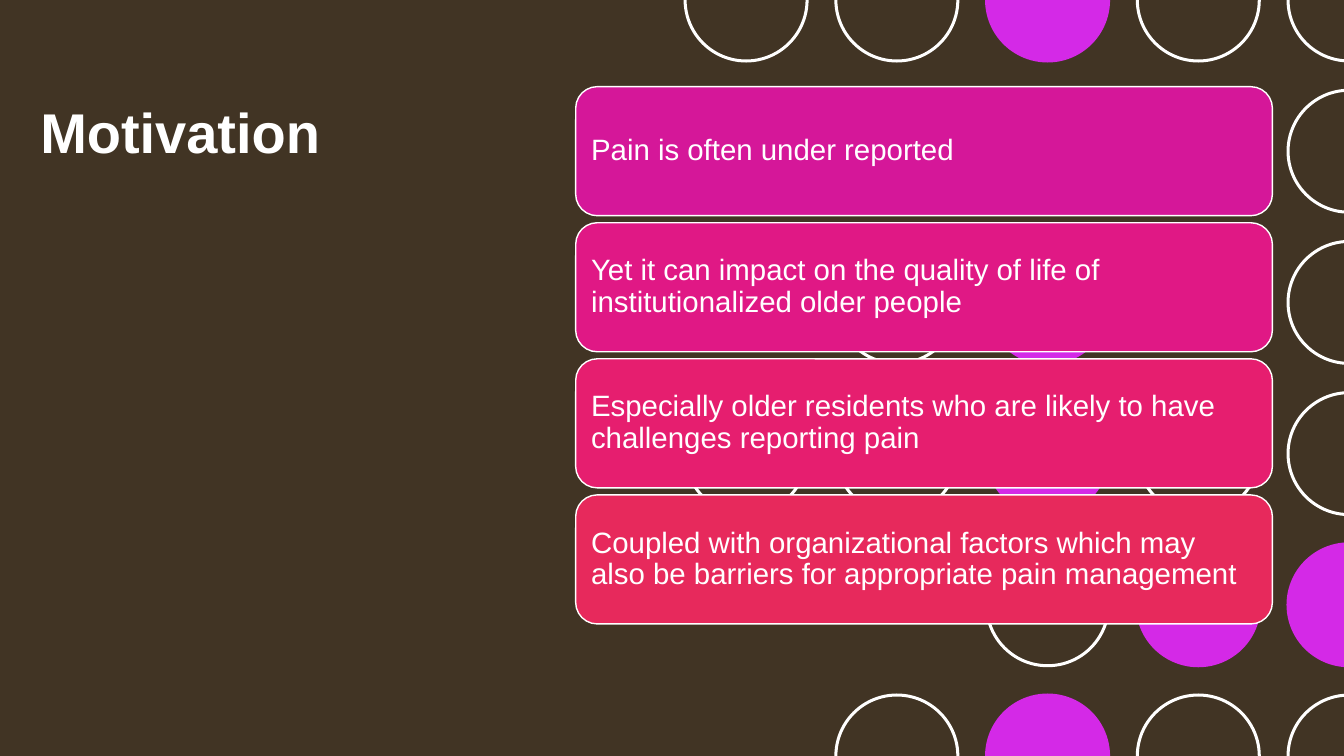
import math

from lxml import etree
from pptx import Presentation
from pptx.dml.color import RGBColor
from pptx.enum.shapes import MSO_SHAPE
from pptx.enum.text import MSO_ANCHOR, MSO_AUTO_SIZE, PP_ALIGN
from pptx.oxml.ns import qn
from pptx.util import Inches, Pt

OVAL, ROUNDED = MSO_SHAPE.OVAL, MSO_SHAPE.ROUNDED_RECTANGLE
BOTTOM, MIDDLE = MSO_ANCHOR.BOTTOM, MSO_ANCHOR.MIDDLE
LEFT, NO_FIT = PP_ALIGN.LEFT, MSO_AUTO_SIZE.NONE

TITLE = "Motivation"
CARDS = [
    ("Pain is often under reported", "D51799"),
    ("Yet it can impact on the quality of life of institutionalized older people", "E01885"),
    ("Especially older residents who are likely to have challenges reporting pain", "E61E6F"),
    ("Coupled with organizational factors which may also be barriers for "
     "appropriate pain management", "E7295C"),
]
# Circle grid: "#" is a solid disc, "O" a ring, "." empty
GRID = ["OO#OO", "....O", ".O#.O", "OO#OO", "..O##", ".O#OO"]

BROWN, PINK, WHITE = "413424", "D429E7", "FFFFFF"
SLIDE_W, SLIDE_H = 13.33, 7.5
GRID_X, PITCH_X, PITCH_Y = 7.4, 1.495, 1.5
RADIUS, RING = 0.62, 0.03
CARD_X, CARD_Y, CARD_W, CARD_H, CARD_PITCH = 5.71, 0.86, 6.91, 1.28, 1.35


def rgb(value):
    return RGBColor.from_string(value)


def set_format(obj, values):
    for name, value in values.items():
        setattr(obj, name, value)


def paint(sp, fill=None, line=None, width=1):
    sp.shadow.inherit = False
    if fill:
        sp.fill.solid()
        sp.fill.fore_color.rgb = rgb(fill)
    else:
        sp.fill.background()
    if line:
        sp.line.color.rgb = rgb(line)
        sp.line.width = Pt(width)
    else:
        sp.line.fill.background()


def write(sp, text, font, frame):
    tf = sp.text_frame
    set_format(tf, {"word_wrap": True, "auto_size": NO_FIT, **frame})
    p = tf.paragraphs[0]
    set_format(p, {"alignment": LEFT, "line_spacing": 0.9})
    r = p.add_run()
    r.text = text
    set_format(r.font, {"name": "Arial", **font})
    r.font.color.rgb = rgb(WHITE)


def visible_angles(cx, cy, radius):
    """Start and end, in degrees clockwise from the right, of the arc on the slide."""
    start, end = 0, 360
    if cy - radius < 0:
        end = 180
    if cy + radius > SLIDE_H:
        start = 180
    if cx + radius > SLIDE_W:
        edge = math.degrees(math.acos((SLIDE_W - cx) / radius))
        start, end = max(start, edge), min(end, 360 - edge)
    return start, end


def add_arc(shapes, cx, cy, radius, start, end, close):
    """Outline through the arc's extreme points, then bent into one true arc."""
    angles = [start, *(a for a in (90, 180, 270) if start < a < end), end]
    points = [(Inches(cx + radius * math.cos(math.radians(a))),
               Inches(cy + radius * math.sin(math.radians(a)))) for a in angles]
    builder = shapes.build_freeform(*points[0])
    builder.add_line_segments(points[1:], close=close)
    sp = builder.convert_to_shape()
    outline = next(sp.element.iter(qn("a:path")))
    for segment in outline.findall(qn("a:lnTo")):
        outline.remove(segment)
    bend = etree.Element(qn("a:arcTo"), {
        "wR": str(Inches(radius)), "hR": str(Inches(radius)),
        "stAng": str(round(start * 60000)), "swAng": str(round((end - start) * 60000))})
    outline.insert(1, bend)
    return sp


def add_circle(shapes, cx, cy, solid):
    radius = RADIUS if solid else RADIUS - RING / 2
    start, end = visible_angles(cx, cy, radius)
    if end - start == 360:
        sp = shapes.add_shape(OVAL, Inches(cx - radius), Inches(cy - radius),
                              Inches(2 * radius), Inches(2 * radius))
    else:
        sp = add_arc(shapes, cx, cy, radius, start, end, solid)
    if solid:
        paint(sp, PINK)
    else:
        paint(sp, line=WHITE, width=72 * RING)


prs = Presentation()
prs.slide_width, prs.slide_height = Inches(SLIDE_W), Inches(SLIDE_H)
s = prs.slides.add_slide(prs.slide_layouts[5])
s.background.fill.solid()
s.background.fill.fore_color.rgb = rgb(BROWN)

title = s.shapes.title
set_format(title, {"left": Inches(0.3), "top": Inches(0.91),
                   "width": Inches(3.95), "height": Inches(0.78)})
write(title, TITLE, {"size": Pt(40), "bold": True}, {"vertical_anchor": BOTTOM})

for row, marks in enumerate(GRID):
    for col, mark in enumerate(marks):
        if mark != ".":
            add_circle(s.shapes, GRID_X + col * PITCH_X, row * PITCH_Y, mark == "#")

margins = {f"margin_{side}": Inches(0.09) for side in ("left", "right", "top", "bottom")}
for i, (text, colour) in enumerate(CARDS):
    card = s.shapes.add_shape(ROUNDED, Inches(CARD_X), Inches(CARD_Y + i * CARD_PITCH),
                              Inches(CARD_W), Inches(CARD_H))
    paint(card, colour, WHITE)
    write(card, text, {"size": Pt(21)}, {"vertical_anchor": MIDDLE, **margins})

prs.save("out.pptx")
